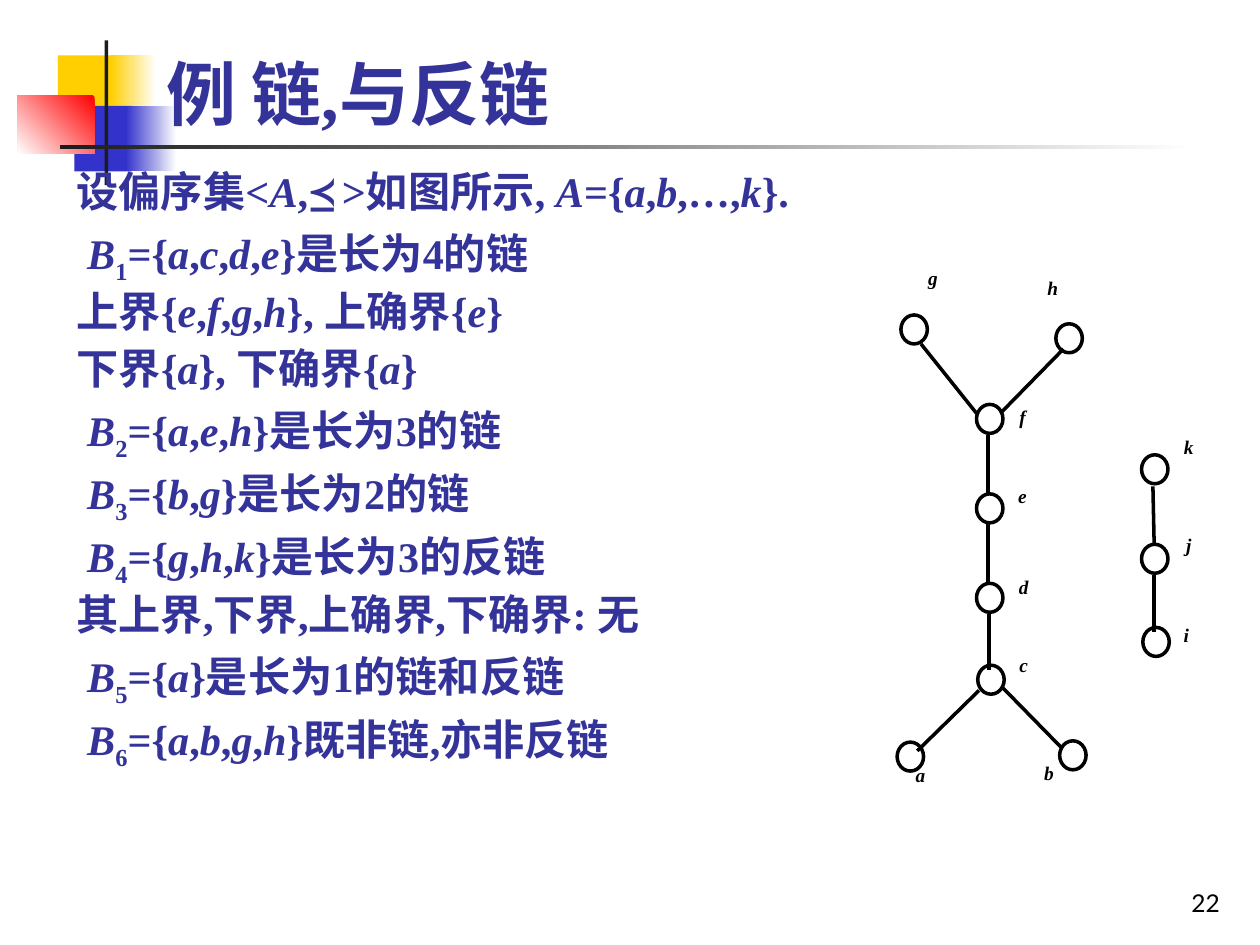
from itertools import groupby
from lxml import etree
from pptx import Presentation
from pptx.dml.color import RGBColor as RGB
from pptx.enum.shapes import MSO_CONNECTOR as LINE, MSO_SHAPE as SHAPE
from pptx.enum.text import MSO_ANCHOR as ANCHOR, PP_ALIGN as ALIGN
from pptx.oxml.ns import qn
from pptx.util import Inches, Pt

HUES = {name: RGB.from_string(code) for name, code in {
    "gold": "FFCF01", "blue": "3333CC", "red": "FF0000", "dark": "1C1C1C",
    "white": "FFFFFF", "ink": "333399", "black": "000000"}.items()}

deck = Presentation()
deck.slide_width, deck.slide_height = Inches(10), Inches(7.5)
slide = deck.slides.add_slide(deck.slide_layouts[6])
shapes = slide.shapes


def split(text):
    """Yield (piece, italic, lowered): letters slant, a digit after B is lowered."""
    marks = [(c, c.isascii() and c.isalpha(), c.isdigit() and text[i - 1] == "B")
             for i, c in enumerate(text)]
    for (slant, low), part in groupby(marks, key=lambda m: m[1:]):
        yield "".join(m[0] for m in part), slant, low


def write(text, at, size, hue="ink", face="Times New Roman", bold=True,
          align=ALIGN.LEFT, anchor=ANCHOR.TOP, pitch=1.0, gap=0):
    frame = shapes.add_textbox(*map(Inches, at)).text_frame
    frame.word_wrap = True
    frame.vertical_anchor = anchor
    for i, line in enumerate(text.split("\n")):
        para = frame.paragraphs[0] if i == 0 else frame.add_paragraph()
        para.alignment = align
        para.line_spacing = pitch
        para.space_before = Pt(gap if i else 0)
        for piece, slant, low in split(line):
            run = para.add_run()
            run.text = piece
            font = run.font
            font.name, font.size, font.bold = face, Pt(size), bold
            font.italic = slant
            font.color.rgb = HUES[hue]
            if low:
                run._r.get_or_add_rPr().set("baseline", "-25000")


# Corner blocks and rules: place, first hue, last hue, gradient angle
blocks = [
    ((0.46, 0.44, 0.48, 0.52), "gold", None, 0),
    ((0.88, 0.44, 0.36, 0.52), "white", "gold", 180),
    ((0.59, 0.84, 0.46, 0.52), "blue", None, 0),
    ((1.00, 0.84, 0.40, 0.52), "white", "blue", 180),
    ((0.14, 0.76, 0.61, 0.46), "red", "white", 225),
    ((0.83, 0.32, 0.03, 1.15), "dark", None, 0),
    ((0.48, 1.15, 9.00, 0.03), "white", "dark", 180),
]
for at, first, last, angle in blocks:
    block = shapes.add_shape(SHAPE.RECTANGLE, *map(Inches, at))
    block.shadow.inherit = False
    block.line.fill.background()
    if last:
        block.fill.gradient()
        block.fill.gradient_angle = angle
        for stop, hue, spot in zip(block.fill.gradient_stops, (first, last), (0, 1)):
            stop.color.rgb = HUES[hue]
            stop.position = spot
    else:
        block.fill.solid()
        block.fill.fore_color.rgb = HUES[first]

write("22", (7.7, 6.83, 2.08, 0.5), 14, hue="black", face="Lato", bold=False,
      align=ALIGN.RIGHT, anchor=ANCHOR.BOTTOM)
write("例 链,与反链", (1.22, 0.28, 8.52, 0.84), 40, anchor=ANCHOR.BOTTOM)
write("""设偏序集<A,≼>如图所示, A={a,b,…,k}.
 B1={a,c,d,e}是长为4的链
上界{e,f,g,h}, 上确界{e}
下界{a}, 下确界{a}
 B2={a,e,h}是长为3的链
 B3={b,g}是长为2的链
 B4={g,h,k}是长为3的反链
其上界,下界,上确界,下确界: 无
 B5={a}是长为1的链和反链
 B6={a,b,g,h}既非链,亦非反链""",
      (0.51, 1.31, 9.13, 5.43), 24.1, pitch=0.9, gap=6.5)

# Hasse diagram: circle corner, then label corner
nodes = {
    "g": (7.15, 2.50, 7.20, 2.10), "h": (8.38, 2.57, 8.15, 2.18),
    "f": (7.75, 3.21, 7.91, 3.20), "e": (7.75, 3.92, 7.91, 3.83),
    "d": (7.75, 4.63, 7.92, 4.55), "c": (7.76, 5.28, 7.92, 5.17),
    "a": (7.12, 5.89, 7.10, 6.04), "b": (8.41, 5.88, 8.12, 6.03),
    "k": (9.06, 3.61, 9.23, 3.44), "j": (9.06, 4.32, 9.23, 4.22),
    "i": (9.07, 4.98, 9.21, 4.93),
}
for name, (x, y, left, top) in nodes.items():
    ring = shapes.add_shape(SHAPE.OVAL, *map(Inches, (x, y, 0.21, 0.23)))
    ring.shadow.inherit = False
    ring.fill.background()
    ring.line.color.rgb = HUES["black"]
    ring.line.width = Pt(2)
    write(name, (left, top, 0.41, 0.31), 11, hue="black",
          align=ALIGN.CENTER, pitch=0.8)

edges = [
    (7.31, 2.73, 7.75, 3.28), (8.44, 2.77, 7.94, 3.28),
    (7.84, 3.45, 7.84, 3.91), (7.84, 4.16, 7.84, 4.62),
    (7.85, 4.87, 7.85, 5.32), (7.77, 5.48, 7.28, 5.96),
    (7.96, 5.46, 8.43, 5.94), (9.15, 3.86, 9.16, 4.31),
    (9.16, 4.56, 9.16, 5.02),
]
for ends in edges:
    edge = shapes.add_connector(LINE.STRAIGHT, *map(Inches, ends))
    edge.line.color.rgb = HUES["black"]
    edge.line.width = Pt(2)
    etree.SubElement(edge._element.spPr, qn("a:effectLst"))

deck.save("out.pptx")
